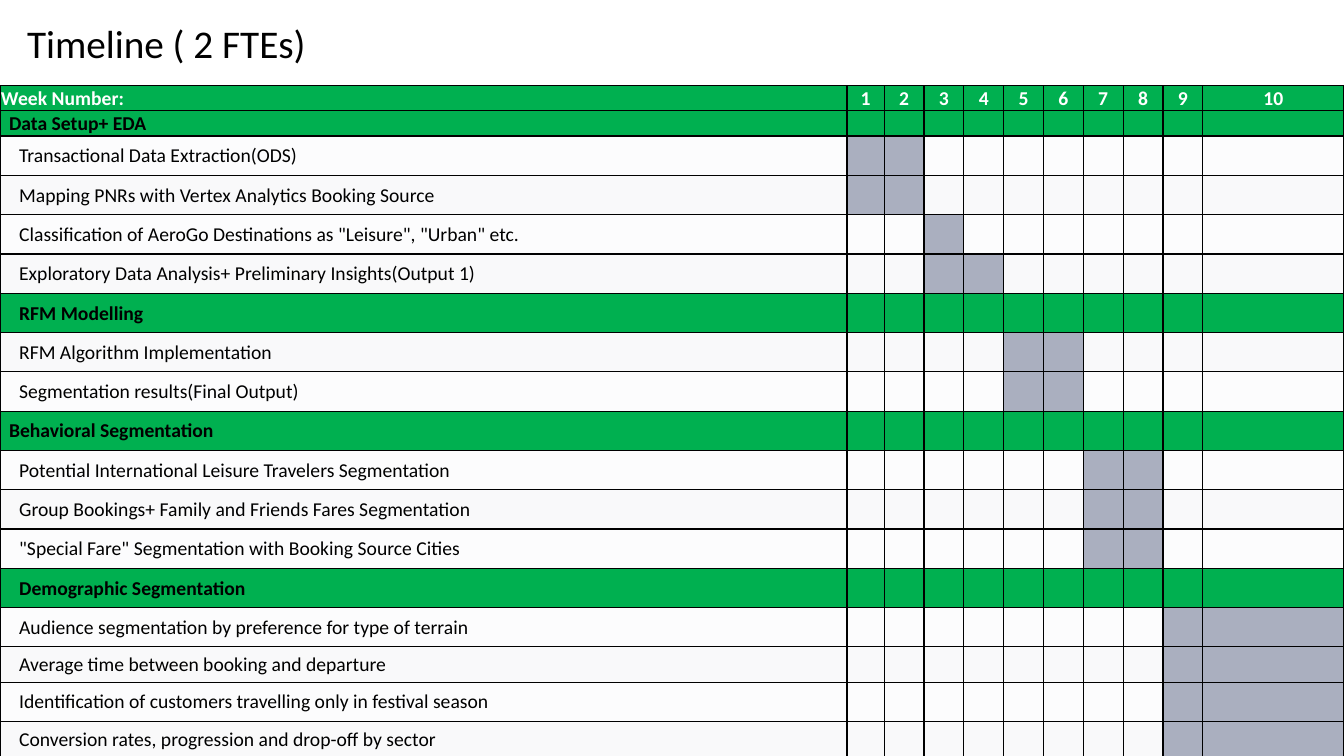
from lxml import etree
from pptx import Presentation
from pptx.dml.color import RGBColor
from pptx.enum.text import MSO_ANCHOR, PP_ALIGN
from pptx.oxml.ns import qn
from pptx.util import Inches, Pt

MIDDLE = MSO_ANCHOR.MIDDLE
LEFT, CENTER = PP_ALIGN.LEFT, PP_ALIGN.CENTER
BLACK = RGBColor(0x00, 0x00, 0x00)
WHITE = RGBColor(0xFF, 0xFF, 0xFF)
GREEN = RGBColor(0x00, 0xB0, 0x50)
BUSY = RGBColor(0xAA, 0xAF, 0xBF)
BANDS = (RGBColor(0xFC, 0xFC, 0xFD), RGBColor(0xF9, 0xF9, 0xFA))

FONT = "Calibri"
TABLE_PT = 14
SLIDE_W, SLIDE_H = 13.33, 7.5
TABLE_TOP = 0.85
WEEKS = 10
TASK_W, FIRST_W, LAST_W = 8.4, 0.37, 1.4
WEEK_W = (SLIDE_W - TASK_W - FIRST_W - LAST_W) / (WEEKS - 2)
COL_WIDTHS = [TASK_W, FIRST_W] + [WEEK_W] * (WEEKS - 2) + [LAST_W]
ROW_HEIGHTS = [0.25] * 2 + [0.39] * 13 + [0.35, 0.39, 0.35]

# Label, left indent, busy weeks (None marks a phase heading)
PLAN = [
    ("Data Setup+ EDA", 0.09, None),
    ("Transactional Data Extraction(ODS)", 0.19, (1, 2)),
    ("Mapping PNRs with Vertex Analytics Booking Source", 0.19, (1, 2)),
    ('Classification of AeroGo Destinations as "Leisure", "Urban" etc.', 0.19, (3,)),
    ("Exploratory Data Analysis+ Preliminary Insights(Output 1)", 0.19, (3, 4)),
    ("RFM Modelling", 0.19, None),
    ("RFM Algorithm Implementation", 0.19, (5, 6)),
    ("Segmentation results(Final Output)", 0.19, (5, 6)),
    ("Behavioral Segmentation", 0.09, None),
    ("Potential International Leisure Travelers Segmentation", 0.19, (7, 8)),
    ("Group Bookings+ Family and Friends Fares Segmentation", 0.19, (7, 8)),
    ('"Special Fare" Segmentation with Booking Source Cities', 0.19, (7, 8)),
    ("Demographic Segmentation", 0.19, None),
    ("Audience segmentation by preference for type of terrain", 0.19, (9, 10)),
    ("Average time between booking and departure", 0.19, (9, 10)),
    ("Identification of customers travelling only in festival season", 0.19, (9, 10)),
    ("Conversion rates, progression and drop-off by sector", 0.19, (9, 10)),
]


def set_attrs(obj, formats):
    """Set each attribute of obj from a dict of format values."""
    for name, value in formats.items():
        setattr(obj, name, value)


def add_run(p, text, size, color, bold=False):
    """Add a formatted run to a paragraph."""
    r = p.add_run()
    r.text = text
    set_attrs(r.font, {"name": FONT, "size": Pt(size), "bold": bold})
    r.font.color.rgb = color


def add_title(s, text):
    """Add the slide title as a text box."""
    tb = s.shapes.add_textbox(Inches(0.17), Inches(0.14), Inches(12.45), Inches(0.57))
    tf = tb.text_frame
    tf.word_wrap = True
    add_run(tf.paragraphs[0], text, 28, BLACK)


def add_borders(cell):
    """Draw a thin black line on all four sides of a cell."""
    tc_pr = cell._tc.get_or_add_tcPr()
    for side in ("a:lnL", "a:lnR", "a:lnT", "a:lnB"):
        ln = etree.SubElement(tc_pr, qn(side), w=str(Pt(1)))
        fill = etree.SubElement(ln, qn("a:solidFill"))
        etree.SubElement(fill, qn("a:srgbClr"), val=str(BLACK))


def format_cell(cell, fill, text="", color=BLACK, bold=False, indent=0.01, align=LEFT):
    """Give a cell its borders, fill, margins and text."""
    add_borders(cell)
    cell.fill.solid()
    cell.fill.fore_color.rgb = fill
    set_attrs(cell, {
        "vertical_anchor": MIDDLE,
        "margin_left": Inches(indent),
        "margin_top": Inches(0.01),
        "margin_right": Inches(0.01),
        "margin_bottom": 0,
    })
    p = cell.text_frame.paragraphs[0]
    p.alignment = align
    if text:
        add_run(p, text, TABLE_PT, color, bold)
    else:
        # Keeps empty cells from growing the short rows
        etree.SubElement(p._p, qn("a:endParaRPr"), sz=str(TABLE_PT * 100))


def add_timeline(s):
    """Add the Gantt table: a week header, then phases and tasks."""
    height = sum(ROW_HEIGHTS)
    table = s.shapes.add_table(len(ROW_HEIGHTS), len(COL_WIDTHS), 0, Inches(TABLE_TOP),
                               Inches(SLIDE_W), Inches(height)).table
    set_attrs(table, {"first_row": False, "horz_banding": False})
    for column, width in zip(table.columns, COL_WIDTHS):
        column.width = Inches(width)
    for row, row_height in zip(table.rows, ROW_HEIGHTS):
        row.height = Inches(row_height)

    format_cell(table.cell(0, 0), GREEN, "Week Number:", WHITE, True)
    for week in range(1, WEEKS + 1):
        format_cell(table.cell(0, week), GREEN, str(week), WHITE, True, align=CENTER)

    for i, (label, indent, busy) in enumerate(PLAN, start=1):
        is_phase = busy is None
        base = GREEN if is_phase else BANDS[i % 2]
        format_cell(table.cell(i, 0), base, label, bold=is_phase, indent=indent)
        for week in range(1, WEEKS + 1):
            format_cell(table.cell(i, week), BUSY if week in (busy or ()) else base)


def main():
    """Build the timeline slide and save it."""
    prs = Presentation()
    set_attrs(prs, {"slide_width": Inches(SLIDE_W), "slide_height": Inches(SLIDE_H)})
    s = prs.slides.add_slide(prs.slide_layouts[6])
    add_timeline(s)
    add_title(s, "Timeline ( 2 FTEs)")
    prs.save("out.pptx")


main()
